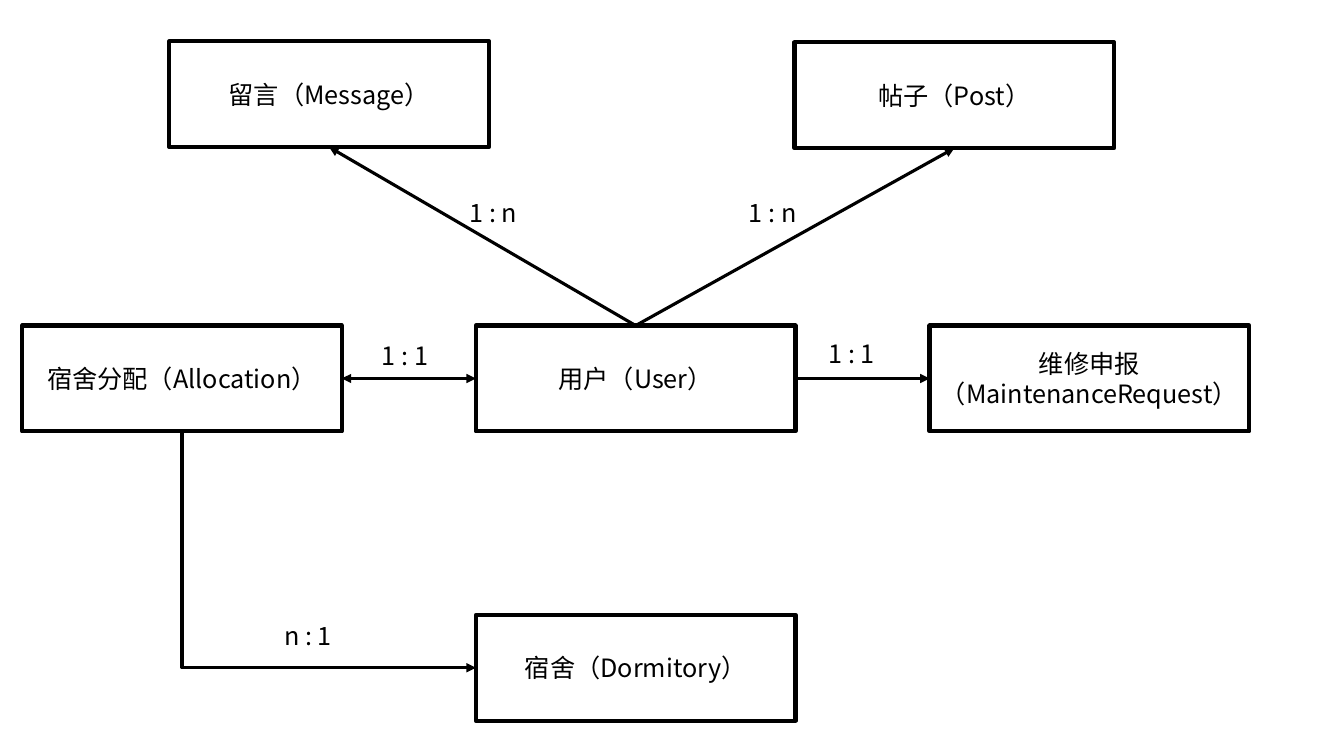
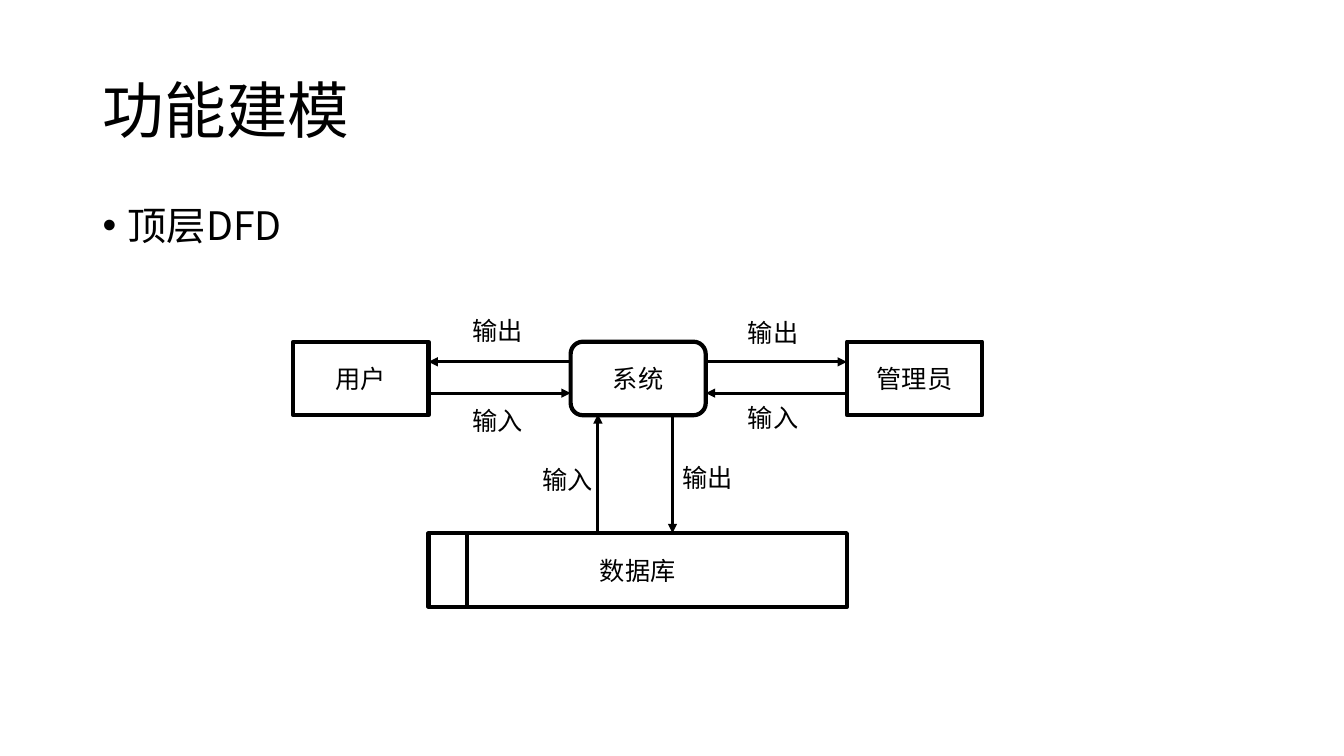
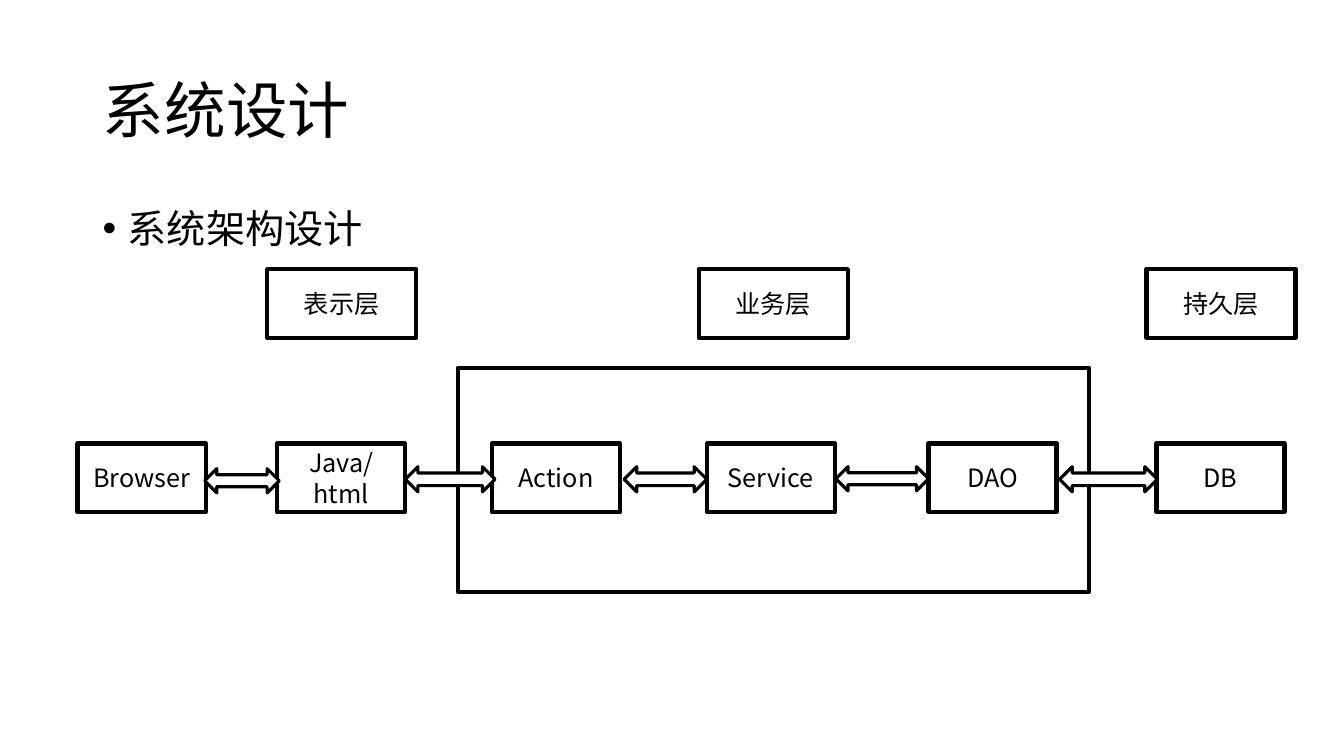
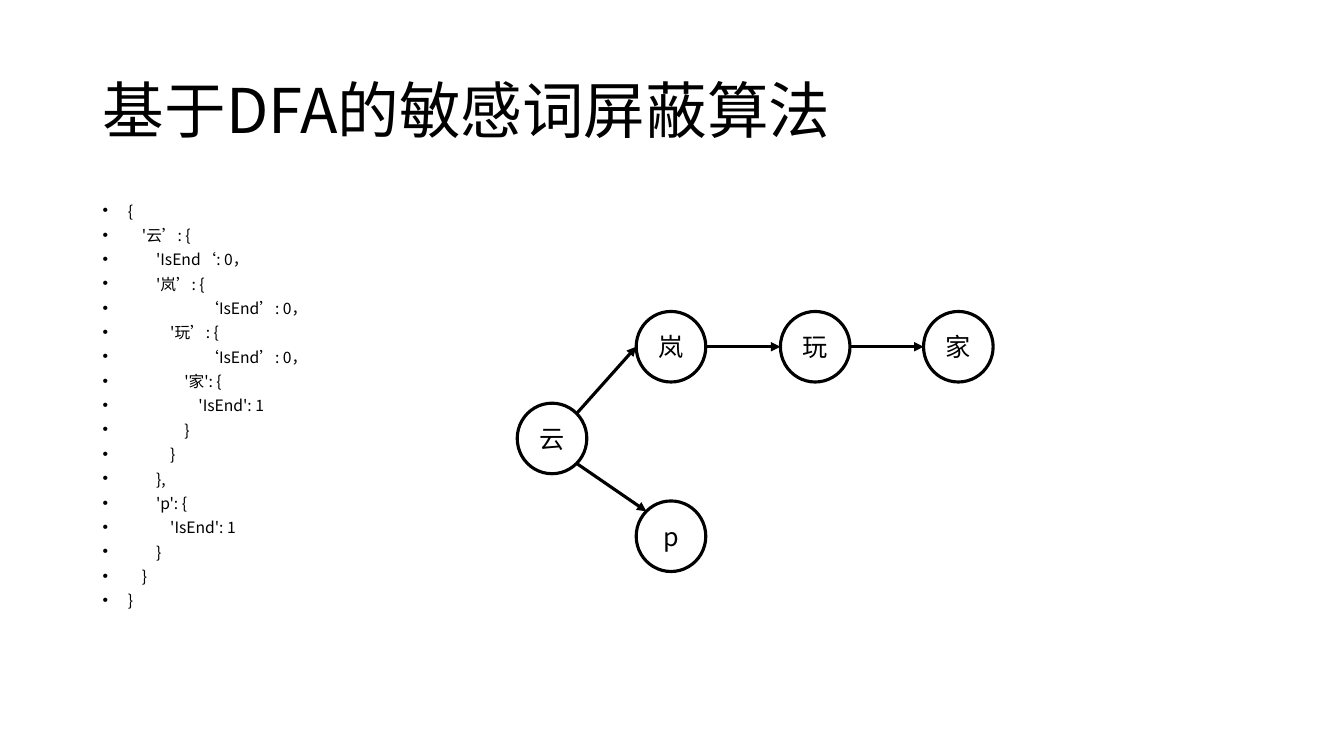
from math import cos, radians, sin

from lxml import etree
from pptx import Presentation
from pptx.dml.color import RGBColor
from pptx.enum import dml, lang, shapes, text
from pptx.oxml import ns
from pptx.util import Inches, Pt

# Shared style
BLACK = RGBColor(0x00, 0x00, 0x00)
WHITE = RGBColor(0xFF, 0xFF, 0xFF)
FONT = "Noto Sans CJK SC"
THICK, THIN = Pt(3), Pt(2.25)
TITLE_AT = (0.92, 0.4, 11.5, 1.45)
KIND = shapes.MSO_SHAPE
STRAIGHT, ELBOW = shapes.MSO_CONNECTOR.STRAIGHT, shapes.MSO_CONNECTOR.ELBOW
LEFT, CENTER = text.PP_ALIGN.LEFT, text.PP_ALIGN.CENTER
TOP_SIDE, LEFT_SIDE, BOTTOM_SIDE, RIGHT_SIDE = range(4)

# Slide 1: entities (left, top), relations and their labels
ENTITY_SIZE = (3.17, 1.05)
ENTITIES = {
    "用户（User）": (4.72, 3.23),
    "宿舍分配（Allocation）": (0.22, 3.23),
    "维修申报（MaintenanceRequest）": (9.22, 3.23),
    "留言（Message）": (1.68, 0.41),
    "宿舍（Dormitory）": (4.72, 6.1),
    "帖子（Post）": (7.88, 0.42),
}
RELATIONS = [  # start, side, end, side, heads
    ("用户（User）", TOP_SIDE, "留言（Message）", BOTTOM_SIDE, ["tail"]),
    ("用户（User）", TOP_SIDE, "帖子（Post）", BOTTOM_SIDE, ["tail"]),
    ("宿舍分配（Allocation）", RIGHT_SIDE, "用户（User）", LEFT_SIDE, ["head", "tail"]),
    ("用户（User）", RIGHT_SIDE, "维修申报（MaintenanceRequest）", LEFT_SIDE, ["tail"]),
    ("宿舍分配（Allocation）", BOTTOM_SIDE, "宿舍（Dormitory）", LEFT_SIDE, ["tail"]),
]
CARDINALITIES = [("1 : n", 4.56, 1.91), ("1 : n", 7.33, 1.91), ("1 : 1", 3.69, 3.33),
                 ("1 : 1", 8.12, 3.31), ("n : 1", 2.72, 6.1)]

# Slide 2: data flow diagram
FLOW_NODES = [
    ("用户", KIND.RECTANGLE, (2.91, 3.39, 1.34, 0.73)),
    ("管理员", KIND.RECTANGLE, (8.4, 3.39, 1.34, 0.73)),
    ("系统", KIND.ROUNDED_RECTANGLE, (5.66, 3.39, 1.34, 0.73)),
    ("数据库", KIND.RECTANGLE, (4.25, 5.29, 4.15, 0.73)),
]
STORE_DIVIDER = ((4.63, 5.29), (4.63, 6.02))
FLOWS = [
    ((5.93, 5.29), (5.93, 4.11)), ((6.67, 4.11), (6.67, 5.29)),
    ((5.66, 3.59), (4.25, 3.59)), ((4.25, 3.9), (5.66, 3.9)),
    ((7, 3.59), (8.4, 3.59)), ((8.4, 3.9), (7, 3.9)),
]
FLOW_LABELS = [("输入", 4.59, 3.97), ("输入", 5.28, 4.56), ("输入", 7.32, 3.94),
               ("输出", 4.59, 3.08), ("输出", 7.32, 3.1), ("输出", 6.67, 4.54)]

# Slide 3: layers, components and the arrows between them
LAYERS = [("表示层", 2.65), ("业务层", 6.93), ("持久层", 11.37)]
COMPONENTS = [("Browser", 0.77), ("Java/html", 2.75), ("Action", 4.88),
              ("Service", 7.01), ("DAO", 9.21), ("DB", 11.47)]
SERVER_FRAME = (4.54, 3.65, 6.26, 2.22)
EXCHANGES = [(2.03, 4.65, 0.74, 0.24), (4.02, 4.63, 0.89, 0.25), (6.19, 4.63, 0.82, 0.25),
             (8.29, 4.63, 0.92, 0.24), (10.51, 4.63, 0.97, 0.25)]

# Slide 4: word tree as (text, indent level) and as a graph
LEVEL_STEP = 0.14
TAB_LEVEL = 0.75 / LEVEL_STEP
WORD_TREE = [
    ("{", 0), ("'云’: {", 1), ("'IsEnd‘: 0，", 2), ("'岚’: {", 2),
    ("‘IsEnd’: 0，", TAB_LEVEL), ("'玩’: {", 3), ("‘IsEnd’: 0，", TAB_LEVEL),
    ("'家': {", 4), ("'IsEnd': 1", 5), ("}", 4), ("}", 3), ("},", 2),
    ("'p': {", 2), ("'IsEnd': 1", 3), ("}", 2), ("}", 1), ("}", 0),
]
STATE_SIZE = (0.69, 0.7)
STATES = {"云": (5.13, 4), "岚": (6.31, 3.09), "玩": (7.74, 3.09),
          "家": (9.16, 3.09), "p": (6.31, 4.97)}
STEPS = [  # start, angle on its rim, end, angle on its rim
    ("云", -45, "岚", 180), ("岚", 0, "玩", 180), ("玩", 0, "家", 180), ("云", 45, "p", 225),
]


def apply(target, values):
    for name, value in values.items():
        setattr(target, name, value)


def write(para, words, size, **layout):
    """Put one formatted run into a paragraph."""
    apply(para, layout)
    span = para.add_run()
    span.text = words
    apply(span.font, {"name": FONT, "size": Pt(size),
                      "language_id": lang.MSO_LANGUAGE_ID.SIMPLIFIED_CHINESE})
    span.font.color.rgb = BLACK
    latin = span.font._element.find(ns.qn("a:latin"))
    latin.addnext(etree.Element(ns.qn("a:ea"), typeface=FONT))


def add_node(page, at, words="", kind=KIND.RECTANGLE, line=THICK, filled=True):
    node = page.shapes.add_shape(kind, *map(Inches, at))
    node.shadow.inherit = False
    if filled:
        node.fill.solid()
        node.fill.fore_color.rgb = WHITE
    else:
        node.fill.background()
    node.line.color.rgb = BLACK
    node.line.width = line
    if words:
        apply(node.text_frame, {"word_wrap": True, "vertical_anchor": text.MSO_ANCHOR.MIDDLE})
        write(node.text_frame.paragraphs[0], words, 18, alignment=CENTER)
    return node


def add_label(page, words, left, top, width):
    box = page.shapes.add_textbox(*map(Inches, (left, top, width, 0.4)))
    box.text_frame.word_wrap = True
    write(box.text_frame.paragraphs[0], words, 18)


def style_line(link, heads=("tail",), width=THIN):
    link.line.color.rgb = BLACK
    link.line.width = width
    stroke = link._element.spPr.find(ns.qn("a:ln"))
    for end in heads:
        etree.SubElement(stroke, ns.qn(f"a:{end}End"), type="triangle")
    etree.SubElement(link._element.spPr, ns.qn("a:effectLst"))


def add_line(page, start, end, **style):
    link = page.shapes.add_connector(STRAIGHT, *map(Inches, (*start, *end)))
    style_line(link, **style)


def bend_once(link):
    """Turn an elbow into a single corner: first down, then right."""
    left, top, width, height = link.left, link.top, link.width, link.height
    shift = (width - height) // 2
    apply(link, {"left": left + shift, "top": top - shift, "width": height, "height": width})
    frame = link._element.spPr.find(ns.qn("a:xfrm"))
    frame.set("rot", "16200000")
    frame.set("flipH", "1")
    link._element.spPr.find(ns.qn("a:prstGeom")).set("prst", "bentConnector2")


def add_titled_page(deck, title):
    page = deck.slides.add_slide(deck.slide_layouts[5])
    holder = page.shapes.title
    apply(holder, dict(zip(("left", "top", "width", "height"), map(Inches, TITLE_AT))))
    apply(holder.text_frame, {"word_wrap": True, "auto_size": text.MSO_AUTO_SIZE.NONE,
                              "vertical_anchor": text.MSO_ANCHOR.MIDDLE})
    write(holder.text_frame.paragraphs[0], title, 44, alignment=LEFT, line_spacing=0.9)
    return page


def add_bullets(page, items, size=28, top=2, spacing=0.9, before=10):
    """List of (text, level); the bullets stay in one column."""
    box = page.shapes.add_textbox(*map(Inches, (0.92, top, 11.5, 4.76)))
    box.text_frame.word_wrap = True
    for index, (words, level) in enumerate(items):
        para = box.text_frame.add_paragraph() if index else box.text_frame.paragraphs[0]
        write(para, words, size, line_spacing=spacing, space_before=Pt(before))
        margin = Inches(0.25 + level * LEVEL_STEP)
        layout = para._p.get_or_add_pPr()
        layout.set("marL", str(margin))
        layout.set("indent", str(-margin))
        etree.SubElement(layout, ns.qn("a:buFont"), typeface="Arial")
        etree.SubElement(layout, ns.qn("a:buChar"), char="•")


def build_entities(deck):
    page = deck.slides.add_slide(deck.slide_layouts[6])
    nodes = {name: add_node(page, (*place, *ENTITY_SIZE), name)
             for name, place in ENTITIES.items()}
    for start, start_side, end, end_side, heads in RELATIONS:
        corner = start_side == BOTTOM_SIDE
        link = page.shapes.add_connector(ELBOW if corner else STRAIGHT, 0, 0, 0, 0)
        link.begin_connect(nodes[start], start_side)
        link.end_connect(nodes[end], end_side)
        if corner:
            bend_once(link)
        style_line(link, heads)
    for words, left, top in CARDINALITIES:
        add_label(page, words, left, top, 0.87)


def build_data_flow(deck):
    page = add_titled_page(deck, "功能建模")
    add_bullets(page, [("顶层DFD", 0)])
    for words, kind, at in FLOW_NODES:
        add_node(page, at, words, kind)
    add_line(page, *STORE_DIVIDER, heads=(), width=THICK)
    for start, end in FLOWS:
        add_line(page, start, end)
    for words, left, top in FLOW_LABELS:
        add_label(page, words, left, top, 0.73)


def build_architecture(deck):
    page = add_titled_page(deck, "系统设计")
    add_bullets(page, [("系统架构设计", 0)], top=2.03)
    for row, top, width in ((COMPONENTS, 4.4, 1.27), (LAYERS, 2.67, 1.48)):
        for words, left in row:
            add_node(page, (left, top, width, 0.68), words)
    add_node(page, SERVER_FRAME, filled=False)
    for at in EXCHANGES:
        add_node(page, at, kind=KIND.LEFT_RIGHT_ARROW, line=THIN)


def rim_point(state, angle):
    """Point on a state's outline, clockwise from its right side."""
    (left, top), (width, height) = STATES[state], STATE_SIZE
    turn = radians(angle)
    return left + width / 2 * (1 + cos(turn)), top + height / 2 * (1 + sin(turn))


def build_word_filter(deck):
    page = add_titled_page(deck, "基于DFA的敏感词屏蔽算法")
    add_bullets(page, WORD_TREE, size=11.2, spacing=0.7, before=8)
    for words, place in STATES.items():
        add_node(page, (*place, *STATE_SIZE), words, KIND.FLOWCHART_CONNECTOR, THIN)
    for start, start_angle, end, end_angle in STEPS:
        add_line(page, rim_point(start, start_angle), rim_point(end, end_angle))


def main():
    deck = Presentation()
    apply(deck, {"slide_width": Inches(13.33), "slide_height": Inches(7.5)})
    for build in (build_entities, build_data_flow, build_architecture, build_word_filter):
        build(deck)
    deck.save("out.pptx")


if __name__ == "__main__":
    main()
